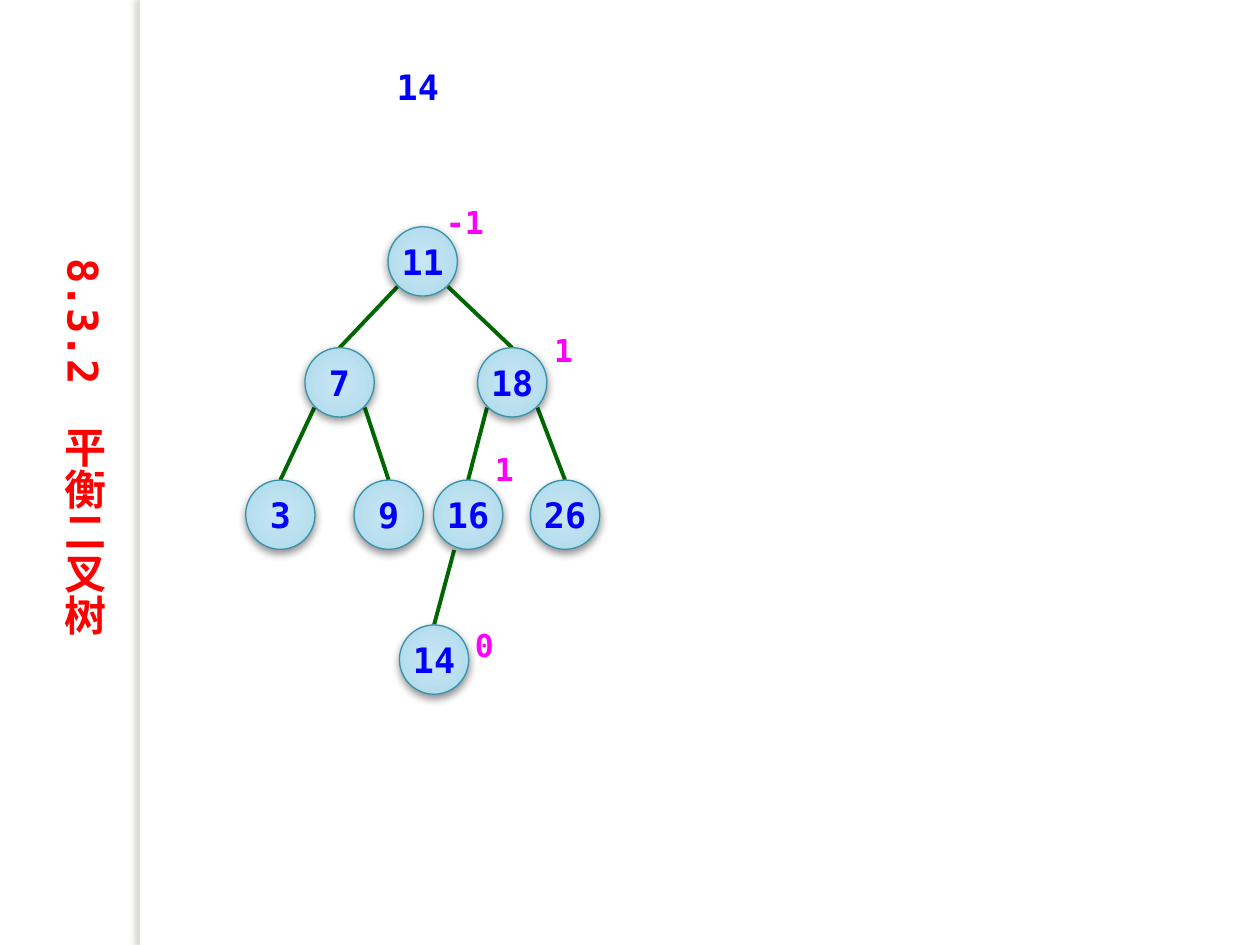
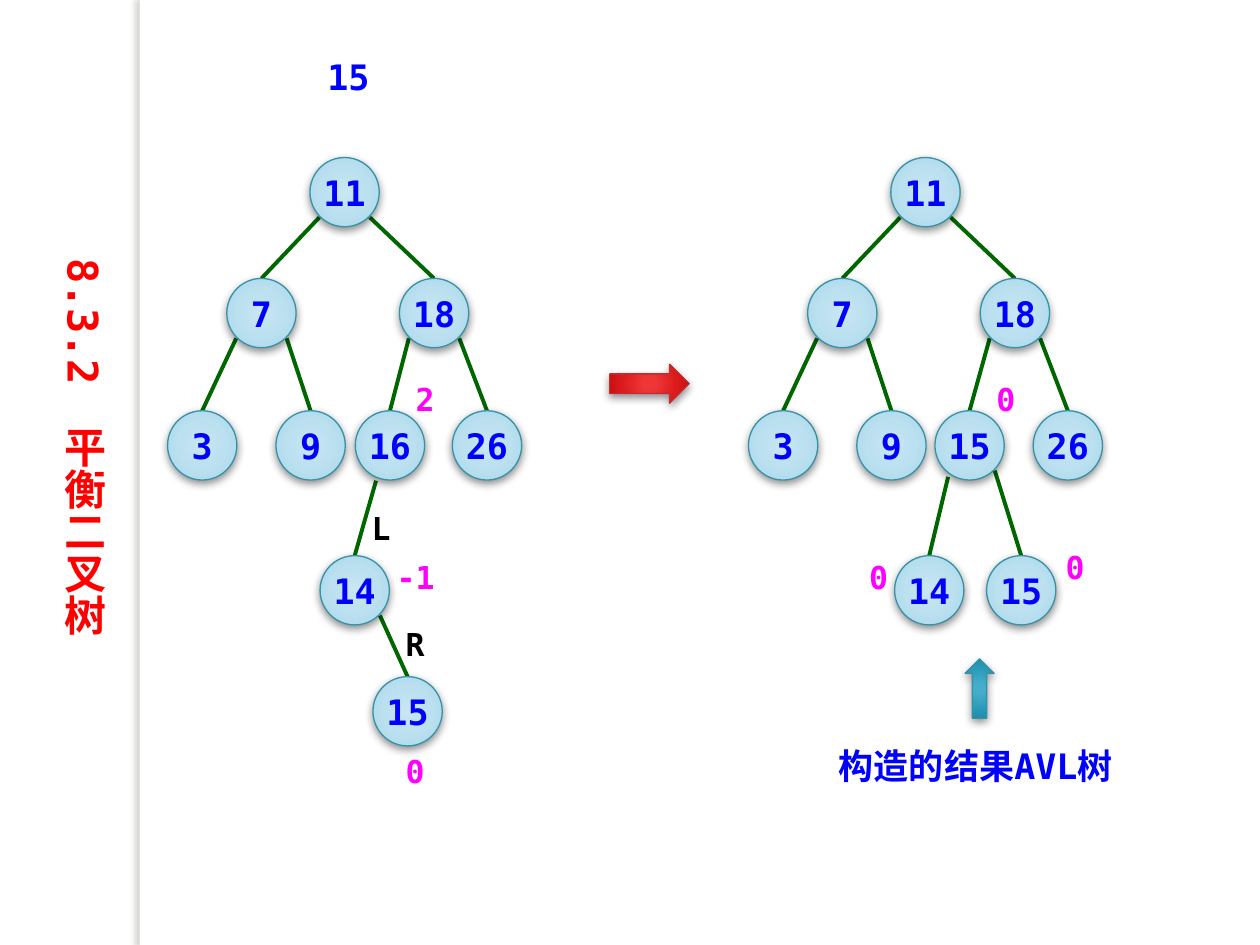
import pptx
import pptx.util
import pptx.oxml
import pptx.oxml.ns
import pptx.dml.color
import pptx.enum.shapes
import pptx.enum.text

FONT = "DejaVu Sans Mono"
WIDE, HIGH = 10, 7.5
SIZE = 0.55
COLOR = {"key": "0000FF", "mark": "FF00FF", "turn": "000000", "head": "FF0000",
         "edge": "006600", "rim": "3891A7", "red": "C32D2E", "band": "FFFFFF"}
GRAD = {
    "node": [(0, "C9E6F2"), (50, "BBE0EF"), (97, "A4D8ED"), (100, "9BD7EE")],
    "red": [(0, "EF3737"), (15, "EE3637"), (62, "DB1C1C"), (97, "C70C0D"), (100, "C30001")],
    "teal": [(0, "45ACCC"), (15, "45ACCB"), (62, "2B9AB9"), (97, "1C8AA7"), (100, "0E89A7")],
}
DROP = ("000000", 43, 5, 2, 90)
SIDE = ("736F63", 25, 3, 3, 180)

HEAD = "8.3.2　平衡二叉树"
ROWS = (0, 0.96, 2.01, 3.16, 4.12)
BASE = {
    "top": ("11", 0, 0), "left": ("7", -0.66, 1), "right": ("18", 0.71, 1),
    "a": ("3", -1.13, 2), "b": ("9", -0.27, 2),
    "c": ("16", 0.36, 2), "d": ("26", 1.13, 2),
}
LINKS = [("top", "left"), ("top", "right"), ("left", "a"), ("left", "b"),
         ("right", "c"), ("right", "d")]
STEEP = (0.11, 0.28)
TREES = [
    {"page": 0, "root": (3.08, 1.8), "new": ("14", -0.03, -1.33),
     "nodes": {"e": ("14", 0.09, 3)},
     "links": [("c", "e", STEEP)],
     "marks": [("1", 1.22, 0.78), ("0", 0.59, 3.12), ("1", 0.75, 1.72), ("-1", 0.36, -0.24)]},
    {"page": 1, "root": (2.46, 1.25), "new": ("15", 0.04, -0.86),
     "nodes": {"e": ("14", 0.08, 3), "f": ("15", 0.5, 4)},
     "links": [("c", "e", STEEP), ("e", "f")],
     "marks": [("-1", 0.59, 3.13), ("2", 0.74, 1.72), ("0", 0.66, 4.67)],
     "turns": [("L", 0.39, 2.74), ("R", 0.66, 3.66)]},
    {"page": 1, "root": (7.07, 1.25),
     "nodes": {"c": ("15", 0.35, 2), "e": ("14", 0.03, 3), "f": ("15", 0.76, 3)},
     "links": [("c", "e", (0.17, 0.25)), ("c", "f")],
     "marks": [("0", -0.27, 3.13), ("0", 0.74, 1.72), ("0", 1.29, 3.05)]},
]
ARROWS = [("RIGHT_ARROW", (4.84, 2.89, 0.63, 0.31), "red", "red"),
          ("UP_ARROW", (7.66, 5.23, 0.23, 0.47), "teal", "rim")]
RESULT = ("构造的结果AVL树", (6.56, 5.86, 2.66, 0.44))


def inch(vals):
    return [pptx.util.Inches(v) for v in vals]


def rgb(name):
    return pptx.dml.color.RGBColor.from_string(COLOR[name])


def write(shape, text, size=20, color="key", mid=False, wrap=True, vert=None):
    frame = shape.text_frame
    frame.word_wrap = wrap
    para = frame.paragraphs[0]
    if mid:
        para.alignment = pptx.enum.text.PP_ALIGN.CENTER
    if vert:
        frame._txBody.bodyPr.set("vert", vert)
    run = para.add_run()
    run.text = text
    font = run.font
    font.name, font.size, font.bold = FONT, pptx.util.Pt(size), True
    font.color.rgb = rgb(color)


def label(slide, text, box, **form):
    write(slide.shapes.add_textbox(*inch(box)), text, **form)


def shade(shape, cast):
    tone, alpha, blur, dist, turn = cast
    shape._element.spPr.append(pptx.oxml.parse_xml(
        f'<a:effectLst {pptx.oxml.ns.nsdecls("a")}><a:outerShdw blurRad="{blur * 12700}" '
        f'dist="{dist * 12700}" dir="{turn * 60000}" algn="ctr" rotWithShape="0">'
        f'<a:srgbClr val="{tone}"><a:alpha val="{alpha * 1000}"/></a:srgbClr>'
        '</a:outerShdw></a:effectLst>'))


def solid(slide, kind, box, grad, rim):
    form = getattr(pptx.enum.shapes.MSO_SHAPE, kind)
    shape = slide.shapes.add_shape(form, *inch(box))
    stops = "".join(f'<a:gs pos="{pos * 1000}"><a:srgbClr val="{tone}"/></a:gs>'
                    for pos, tone in GRAD[grad])
    shape._element.spPr.insert(2, pptx.oxml.parse_xml(
        f'<a:gradFill {pptx.oxml.ns.nsdecls("a")} rotWithShape="1"><a:gsLst>{stops}</a:gsLst>'
        '<a:path path="circle"><a:fillToRect l="50000" t="50000" r="50000" b="50000"/></a:path>'
        '</a:gradFill>'))
    shape.line.color.rgb = rgb(rim)
    shape.line.width = pptx.util.Pt(0.75)
    shade(shape, DROP)
    return shape


def link(slide, start, end, bend=(0.2, 0.2)):
    half = SIZE / 2
    side = 1 if end[0] > start[0] else -1
    ends = (start[0] + half + side * bend[0], start[1] + half + bend[1], end[0] + half, end[1])
    line = slide.shapes.add_connector(pptx.enum.shapes.MSO_CONNECTOR.STRAIGHT, *inch(ends))
    line.line.color.rgb = rgb("edge")
    line.line.width = pptx.util.Pt(2.25)
    pptx.oxml.ns.qn("a:effectLst")
    line._element.spPr.append(pptx.oxml.parse_xml(
        f'<a:effectLst {pptx.oxml.ns.nsdecls("a")}/>'))


def plant(slide, tree):
    left, top = tree["root"]
    nodes = {**BASE, **tree["nodes"]}
    spots = {name: (left + x, top + ROWS[row]) for name, (_, x, row) in nodes.items()}
    for start, end, *bend in LINKS + tree["links"]:
        link(slide, spots[start], spots[end], *bend)
    for name, (text, _, _) in nodes.items():
        node = solid(slide, "OVAL", (*spots[name], SIZE, SIZE), "node", "rim")
        node.text_frame.vertical_anchor = pptx.enum.text.MSO_ANCHOR.MIDDLE
        write(node, text, mid=True, wrap=False)
    for part, color in (("marks", "mark"), ("turns", "turn")):
        for text, x, y in tree.get(part, []):
            box = (left + x, top + y, 0.32 * len(text), 0.4)
            label(slide, text, box, size=18, color=color)
    if "new" in tree:
        text, x, y = tree["new"]
        label(slide, text, (left + x, top + y, SIZE, 0.44))


def page(deck):
    slide = deck.slides.add_slide(deck.slide_layouts[6])
    band = slide.shapes.add_shape(pptx.enum.shapes.MSO_SHAPE.RECTANGLE,
                                  *inch((1.11, 0, 0.08, HIGH)))
    band.fill.solid()
    band.fill.fore_color.rgb = rgb("band")
    band.line.fill.background()
    shade(band, SIDE)
    label(slide, HEAD, (0.31, 1.95, 0.61, 3.44), size=24, color="head", mid=True, vert="eaVert")
    return slide


def main():
    """Build two slides on inserting keys into a balanced binary tree."""
    deck = pptx.Presentation()
    deck.slide_width, deck.slide_height = inch((WIDE, HIGH))
    pages = [page(deck) for _ in range(2)]
    for tree in TREES:
        plant(pages[tree["page"]], tree)
    for arrow in ARROWS:
        solid(pages[1], *arrow)
    label(pages[1], *RESULT)
    deck.save("out.pptx")


if __name__ == "__main__":
    main()
